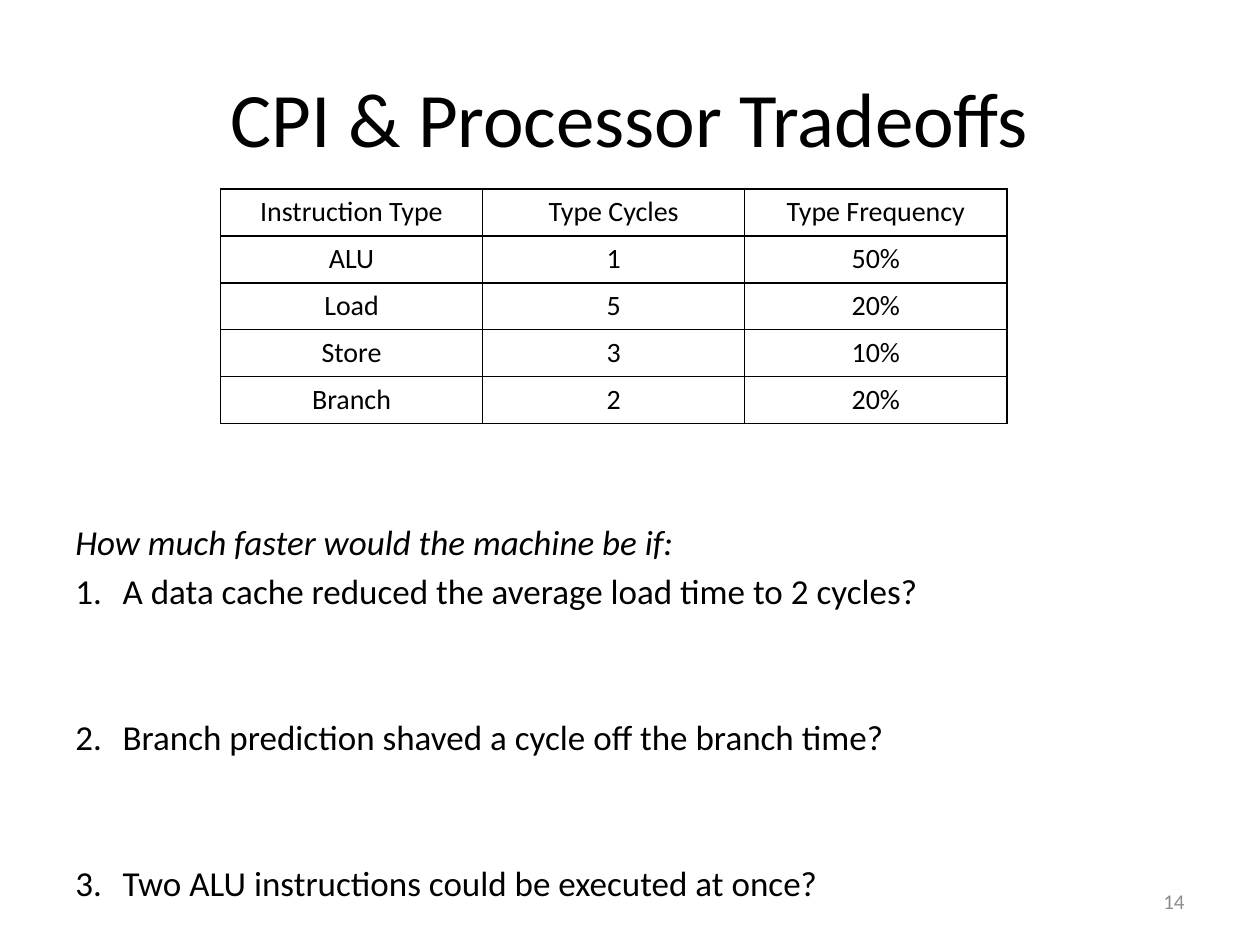
from lxml import etree
from pptx import Presentation
from pptx import util as u
from pptx.dml.color import RGBColor
from pptx.enum import text
from pptx.oxml import ns

BLACK = RGBColor(0x00, 0x00, 0x00)
GREY = RGBColor(0x8C, 0x8C, 0x8C)
FONT = "Calibri"


def write(paragraph, words, size=20, color=BLACK, italic=False,
          align=text.PP_ALIGN.LEFT, before=0):
    """Fill a paragraph with one formatted run."""
    paragraph.alignment = align
    paragraph.space_before = u.Pt(before)
    run = paragraph.add_run()
    run.text = words
    run.font.name = FONT
    run.font.size = u.Pt(size)
    run.font.color.rgb = color
    run.font.italic = italic


def number(paragraph, indent=27):
    """Give a paragraph an automatic number with a hanging indent."""
    props = paragraph._p.get_or_add_pPr()
    props.set("marL", str(u.Pt(indent)))
    props.set("indent", str(u.Pt(-indent)))
    etree.SubElement(props, ns.qn("a:buFont"), typeface="+mj-lt")
    etree.SubElement(props, ns.qn("a:buAutoNum"), type="arabicPeriod")


def outline(cell, width=1):
    """Draw a solid line on all four sides of a cell."""
    props = cell._tc.get_or_add_tcPr()
    for index, side in enumerate(("a:lnL", "a:lnR", "a:lnT", "a:lnB")):
        line = etree.Element(ns.qn(side), w=str(u.Pt(width)))
        fill = etree.SubElement(line, ns.qn("a:solidFill"))
        etree.SubElement(fill, ns.qn("a:srgbClr"), val=str(BLACK))
        props.insert(index, line)


class Page:
    """Hold the current slide and add its elements."""

    def __init__(self, deck):
        self.slide = deck.slides.add_slide(deck.slide_layouts[5])

    def title(self, words, left, top, width, height):
        """Place and fill the title."""
        heading = self.slide.shapes.title
        heading.left, heading.top = u.Pt(left), u.Pt(top)
        heading.width, heading.height = u.Pt(width), u.Pt(height)
        frame = heading.text_frame
        frame.vertical_anchor = text.MSO_ANCHOR.MIDDLE
        write(frame.paragraphs[0], words, size=44, align=text.PP_ALIGN.CENTER)

    def frame(self, left, top, width, height, anchor=text.MSO_ANCHOR.TOP):
        """Add a wrapping text box and return its text frame."""
        box = self.slide.shapes.add_textbox(*map(u.Pt, (left, top, width, height)))
        box.text_frame.word_wrap = True
        box.text_frame.vertical_anchor = anchor
        return box.text_frame

    def table(self, rows, left, top, column, row):
        """Add a plain ruled table with equal columns and rows."""
        size = (column * len(rows[0]), row * len(rows))
        grid = self.slide.shapes.add_table(
            len(rows), len(rows[0]), *map(u.Pt, (left, top, *size))).table
        grid.first_row = grid.horz_banding = False
        for r, values in enumerate(rows):
            for c, value in enumerate(values):
                cell = grid.cell(r, c)
                cell.fill.background()
                outline(cell)
                write(cell.text_frame.paragraphs[0], value, size=16,
                      align=text.PP_ALIGN.CENTER)


INSTRUCTIONS = [
    ("Instruction Type", "Type Cycles", "Type Frequency"),
    ("ALU", "1", "50%"),
    ("Load", "5", "20%"),
    ("Store", "3", "10%"),
    ("Branch", "2", "20%"),
]
QUESTIONS = [
    ("A data cache reduced the average load time to 2 cycles?", 3.6),
    ("Branch prediction shaved a cycle off the branch time?", 59.6),
    ("Two ALU instructions could be executed at once?", 59.6),
]

deck = Presentation()
deck.slide_width, deck.slide_height = u.Pt(720), u.Pt(540)
page = Page(deck)
page.title("CPI & Processor Tradeoffs", 36, 21.6, 648, 90)
page.table(INSTRUCTIONS, 126, 108, 149.8, 26.7)

exercise = page.frame(36, 294, 648, 228)
write(exercise.paragraphs[0], "How much faster would the machine be if:", italic=True)
for question, gap in QUESTIONS:
    item = exercise.add_paragraph()
    write(item, question, before=gap)
    number(item)

page_number = page.frame(516, 500.4, 168, 28.8, text.MSO_ANCHOR.MIDDLE)
write(page_number.paragraphs[0], "14", size=12, color=GREY, align=text.PP_ALIGN.RIGHT)

deck.save("out.pptx")
